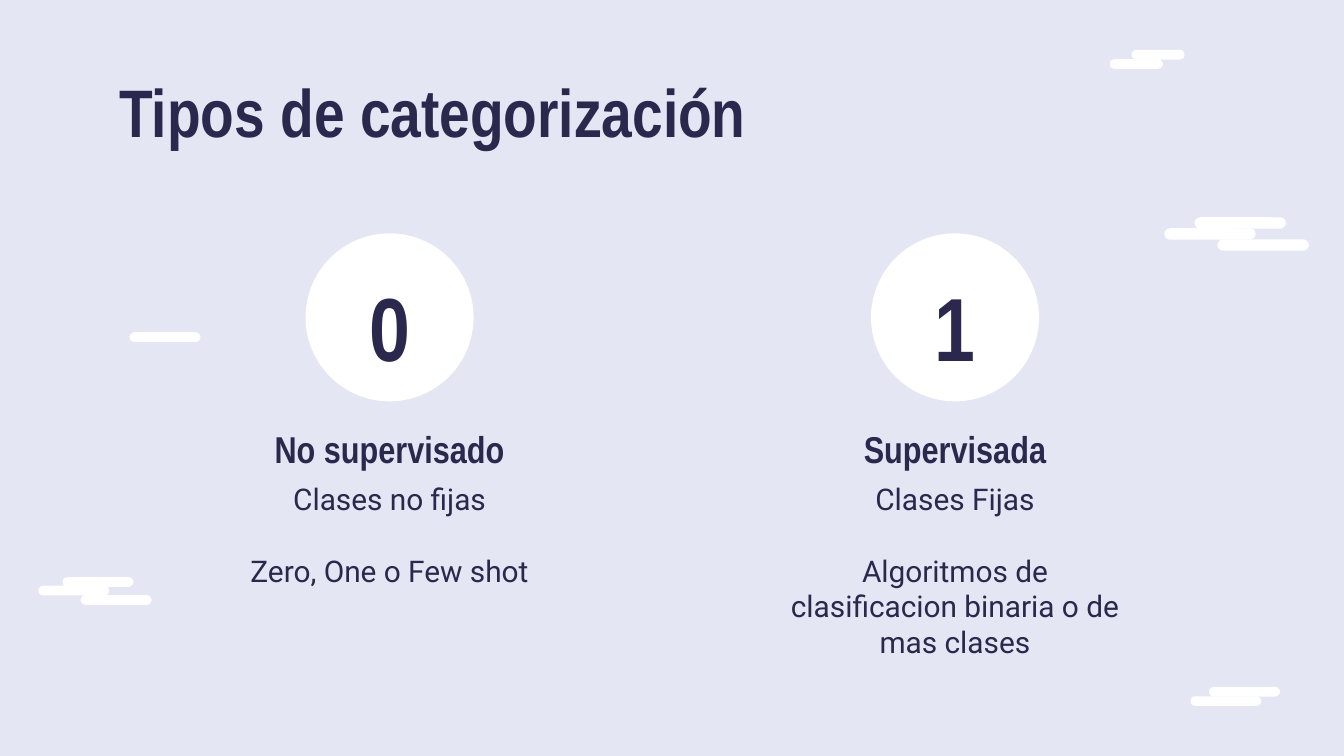
from dataclasses import dataclass

from pptx import Presentation
from pptx import util as u
from pptx.dml.color import RGBColor
from pptx.enum import shapes, text

# Content
TITLE = "Tipos de categorización"
COLUMNS = [
    ("0", "No supervisado", ["Clases no fijas", "Zero, One o Few shot"]),
    ("1", "Supervisada",
     ["Clases Fijas", "Algoritmos de clasificacion binaria o de mas clases"]),
]
# Clouds: bar width, bar height, then the left and top of each bar
CLOUDS = [
    (49, 6.1, [(623.7, 122.3), (639.9, 116.4), (652.2, 128.2)]),
    (38, 5.2, [(20.5, 313.8), (33.5, 309.2), (43.2, 318.8)]),
    (38, 5.2, [(647.7, 368), (637.7, 373)]),
    (38, 5.2, [(69.4, 178)]),
    (28.5, 5.2, [(594.5, 31.7), (606.1, 26.7)]),
]


@dataclass(frozen=True)
class Theme:
    background: RGBColor = RGBColor(0xE4, 0xE6, 0xF4)
    white: RGBColor = RGBColor(0xFF, 0xFF, 0xFF)
    ink: RGBColor = RGBColor(0x2A, 0x28, 0x4C)
    heading_font: str = "Arial Narrow"
    body_font: str = "Roboto"
    title_size: float = 36
    number_size: float = 48
    heading_size: float = 20
    body_size: float = 16


theme = Theme()

# Geometry in points
FIRST_CENTER, COLUMN_STEP = 208.7, 302.9
CIRCLE, CIRCLE_TOP = 90, 125
TEXT_WIDTH, INSET = 198, 7.2

deck = Presentation()
deck.slide_width, deck.slide_height = u.Pt(720), u.Pt(405)
page = deck.slides.add_slide(deck.slide_layouts[5])
page.background.fill.solid()
page.background.fill.fore_color.rgb = theme.background


def add_pill(left, top, width, height):
    pill = page.shapes.add_shape(shapes.MSO_SHAPE.ROUNDED_RECTANGLE,
                                 u.Pt(left), u.Pt(top), u.Pt(width), u.Pt(height))
    pill.adjustments[0] = 0.5
    pill.shadow.inherit = False
    pill.fill.solid()
    pill.fill.fore_color.rgb = theme.white
    pill.line.fill.background()


def write(box, lines, size, font=theme.heading_font, bold=True,
          align=text.PP_ALIGN.CENTER, anchor=text.MSO_ANCHOR.MIDDLE, gap=0):
    frame = box.text_frame
    frame.word_wrap = True
    frame.auto_size = text.MSO_AUTO_SIZE.NONE
    frame.vertical_anchor = anchor
    frame.margin_left = frame.margin_right = u.Pt(INSET)
    frame.margin_top = frame.margin_bottom = u.Pt(INSET)
    for index, line in enumerate(lines):
        para = frame.add_paragraph() if index else frame.paragraphs[0]
        para.alignment = align
        para.space_before = u.Pt(gap if index else 0)
        span = para.add_run()
        span.text = line
        span.font.name, span.font.size, span.font.bold = font, u.Pt(size), bold
        span.font.color.rgb = theme.ink


def add_centered_box(center, top, width, height):
    return page.shapes.add_textbox(u.Pt(center - width / 2), u.Pt(top),
                                   u.Pt(width), u.Pt(height))


# Background clouds
for width, height, bars in CLOUDS:
    for left, top in bars:
        add_pill(left, top, width, height)

# Title
title = page.shapes.title
title.left, title.top, title.width, title.height = map(u.Pt, (56.7, 30.3, 607, 48.2))
write(title, [TITLE], theme.title_size,
      align=text.PP_ALIGN.LEFT, anchor=text.MSO_ANCHOR.TOP)

# Columns: numbered circle, heading and description
for index, (number, heading, details) in enumerate(COLUMNS):
    center = FIRST_CENTER + index * COLUMN_STEP
    add_pill(center - CIRCLE / 2, CIRCLE_TOP, CIRCLE, CIRCLE)
    write(add_centered_box(center, 149, 70, 51), [number], theme.number_size)
    write(add_centered_box(center, 227, TEXT_WIDTH, 27), [heading], theme.heading_size)
    write(add_centered_box(center, 250.5, TEXT_WIDTH, 111.5), details, theme.body_size,
          font=theme.body_font, bold=False, anchor=text.MSO_ANCHOR.TOP, gap=19)

deck.save("out.pptx")
